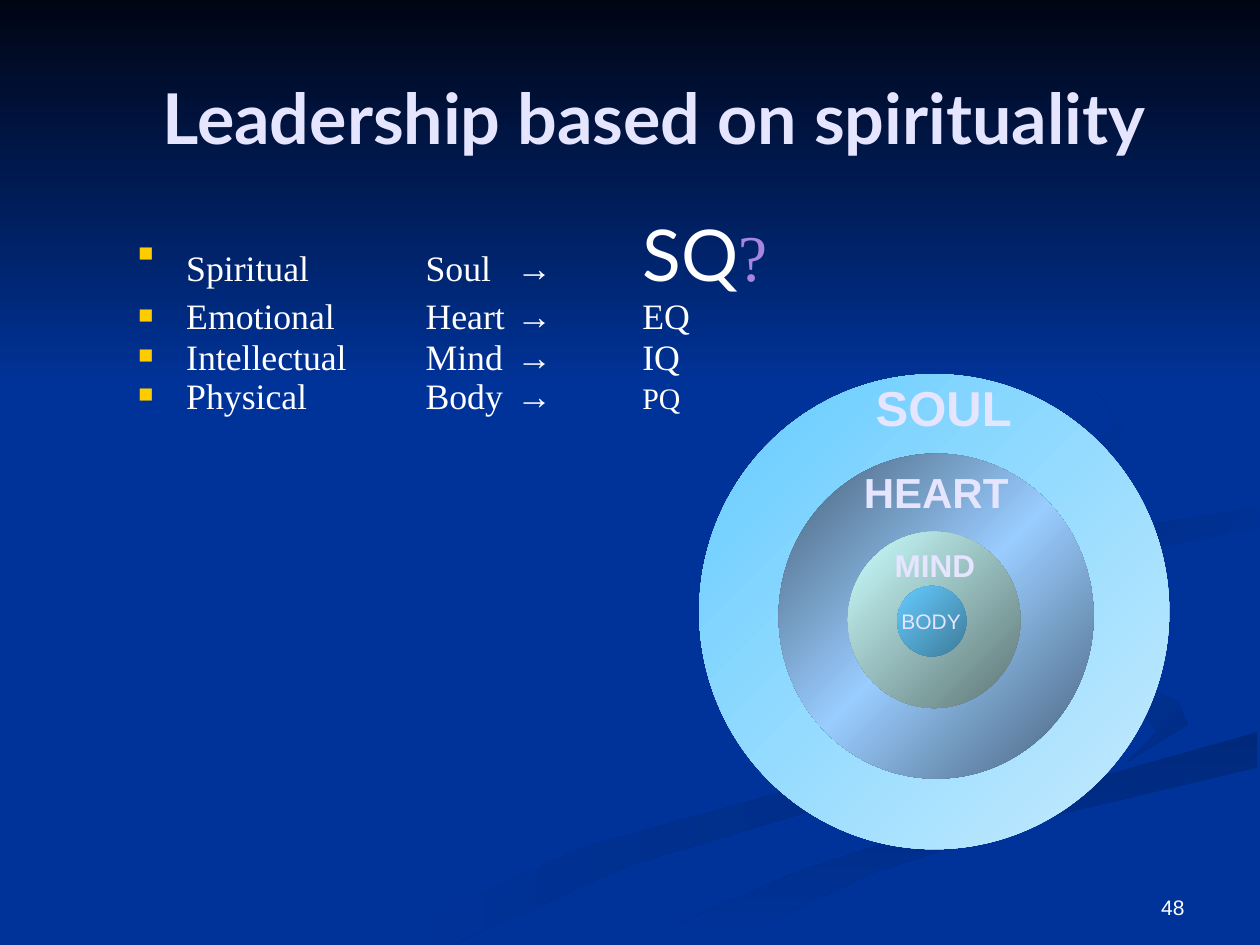
from lxml.etree import SubElement
from pptx import Presentation
from pptx.dml.color import RGBColor
from pptx.enum.shapes import MSO_SHAPE as Shape
from pptx.enum.text import MSO_ANCHOR as Anchor, PP_ALIGN as Align
from pptx.oxml.ns import qn
from pptx.util import Inches, Pt

COLORS = {
    "blue": "003399", "night": "000514", "shade": "002B81", "band": "00297C",
    "lavender": "E5E5FF", "white": "FFFFFF", "violet": "A886E0", "gold": "FFCC00",
    "pale": "C6EBFE", "sky": "66CCFF", "slate": "465E75", "light": "99CCFF",
    "moss": "5E7575", "mint": "CCFFFF", "teal": "3D7B9A",
}
SERIF, SANS, DISPLAY = "Times New Roman", "Arial", "Lato"

RIBBONS = [
    (("shade", "blue"), 180, [(786, 566), (652, 620), (458, 674), (300, 749),
                              (361, 749), (499, 687), (676, 634), (800, 581)]),
    (("shade", "blue"), 225, [(888, 535), (935, 557), (943, 575), (894, 605), (918, 581)]),
    (("band", "blue"), 90, [(998, 581), (797, 638), (630, 693), (503, 749),
                            (571, 749), (695, 692), (821, 651), (998, 609)]),
    (("blue", "shade"), 225, [(998, 402), (865, 424), (781, 460), (805, 472),
                              (843, 448), (998, 420)]),
    (("blue", "shade"), 225, [(762, 233), (846, 279), (889, 335), (830, 382),
                              (855, 391), (894, 344), (843, 275)]),
]

RINGS = [
    ((0, 0, 3.73, 3.77), ("pale", "sky"), "SOUL", (1.94, 0.26), 28, True),
    ((0.63, 0.63, 2.5, 2.58), ("slate", "light", "slate"), "HEART", (1.88, 0.93), 24, True),
    ((1.18, 1.25, 1.37, 1.4), ("moss", "mint"), "MIND", (1.87, 1.51), 18, True),
    ((1.57, 1.68, 0.55, 0.56), ("teal", "sky"), "BODY", (1.84, 1.96), 12, False),
]

QUOTIENTS = [
    ("Spiritual", "Soul", [("SQ", DISPLAY, 40.8, "white"), ("?", SERIF, 37.4, "violet")], Pt(35), 0),
    ("Emotional", "Heart", [("EQ", SERIF, 20.4, "white")], 0.7, 6),
    ("Intellectual", "Mind", [("IQ", SERIF, 20.4, "white")], 0.7, 6),
    ("Physical", "Body", [("PQ", SERIF, 17, "white")], 0.7, 5),
]


def paint(shape, names, angle):
    """Fill a shape with evenly spaced gradient colours, without line or shadow."""
    shape.shadow.inherit = False
    shape.line.fill.background()
    shape.fill.gradient()
    shape.fill.gradient_angle = (360 - angle) % 360
    stops = shape._element.spPr.find(qn("a:gradFill")).find(qn("a:gsLst"))
    for stop in list(stops):
        stops.remove(stop)
    for index, name in enumerate(names):
        stop = SubElement(stops, qn("a:gs"), pos=str(100000 * index // (len(names) - 1)))
        SubElement(stop, qn("a:srgbClr"), val=COLORS[name])


def add_run(paragraph, text, font, size, color, bold=False):
    """Append one formatted run to a paragraph."""
    run = paragraph.add_run()
    run.text = text
    for name, value in {"name": font, "size": Pt(size), "bold": bold}.items():
        setattr(run.font, name, value)
    run.font.color.rgb = RGBColor.from_string(COLORS[color])


def add_frame(slide, box, anchor=Anchor.TOP):
    """Add a wrapping text box and return its text frame."""
    frame = slide.shapes.add_textbox(*map(Inches, box)).text_frame
    for name, value in {"word_wrap": True, "vertical_anchor": anchor}.items():
        setattr(frame, name, value)
    return frame


def add_label(slide, box, run, align, anchor):
    """Add a text box holding one aligned line."""
    paragraph = add_frame(slide, box, anchor).paragraphs[0]
    paragraph.alignment = align
    add_run(paragraph, *run)


def add_backdrop(slide, box):
    """Draw the background, its ribbons and the dark band at the top."""
    left, top, width, height = box
    slide.background.fill.solid()
    slide.background.fill.fore_color.rgb = RGBColor.from_string(COLORS["blue"])
    for names, angle, points in RIBBONS:
        builder = slide.shapes.build_freeform(*points[0], scale=Inches(0.01))
        builder.add_line_segments(points[1:], close=True)
        paint(builder.convert_to_shape(Inches(left), Inches(top)), names, angle)
    band = slide.shapes.add_shape(Shape.RECTANGLE, *map(Inches, (left, top, width, 3.08)))
    paint(band, ("night", "blue"), 90)


def add_bullet(paragraph):
    """Give a paragraph a square bullet and the column tab stops."""
    properties = paragraph._p.get_or_add_pPr()
    for name, value in {"marL": 0.38, "indent": -0.38}.items():
        properties.set(name, str(Inches(value)))
    color = SubElement(properties, qn("a:buClr"))
    SubElement(color, qn("a:srgbClr"), val=COLORS["gold"])
    SubElement(properties, qn("a:buSzPct"), val="70000")
    SubElement(properties, qn("a:buFont"), typeface=SANS)
    SubElement(properties, qn("a:buChar"), char="■")
    tabs = SubElement(properties, qn("a:tabLst"))
    for position in (2.28, 3, 4):
        SubElement(tabs, qn("a:tab"), pos=str(Inches(position)), algn="l")


def add_quotients(slide, box):
    """List each kind of intelligence with its seat and its quotient."""
    frame = add_frame(slide, box)
    for index, (kind, seat, results, spacing, before) in enumerate(QUOTIENTS):
        paragraph = frame.add_paragraph() if index else frame.paragraphs[0]
        add_bullet(paragraph)
        for name, value in {"line_spacing": spacing, "space_before": Pt(before)}.items():
            setattr(paragraph, name, value)
        add_run(paragraph, f"{kind}\t{seat}\t", SERIF, 20.4, "white")
        add_run(paragraph, "→\t", SANS, 20.4, "white")
        for result in results:
            add_run(paragraph, *result)


def add_rings(slide, box):
    """Draw the nested circles from soul to body with their labels."""
    left, top = box[:2]
    for (x, y, width, height), names, text, (label_x, label_y), size, bold in RINGS:
        place = map(Inches, (left + x, top + y, width, height))
        paint(slide.shapes.add_shape(Shape.OVAL, *place), names, 225)
        label_box = (left + label_x - 0.75, top + label_y - 0.28, 1.5, 0.56)
        add_label(slide, label_box, (text, SANS, size, "lavender", bold),
                  Align.CENTER, Anchor.MIDDLE)


def main():
    """Build and save the slide."""
    presentation = Presentation()
    presentation.slide_width, presentation.slide_height = Inches(10), Inches(7.5)
    slide = presentation.slides.add_slide(presentation.slide_layouts[6])
    add_backdrop(slide, (0, 0, 10, 7.5))
    add_label(slide, (0.69, 0.3, 9, 1.25),
              ("Leadership based on spirituality", DISPLAY, 40, "lavender", True),
              Align.CENTER, Anchor.MIDDLE)
    add_quotients(slide, (1, 1.81, 5.3, 1.96))
    add_rings(slide, (5.55, 2.97, 3.73, 3.77))
    add_label(slide, (7.17, 6.83, 2.33, 0.52), ("48", SANS, 12, "white"),
              Align.RIGHT, Anchor.BOTTOM)
    presentation.save("out.pptx")


if __name__ == "__main__":
    main()
